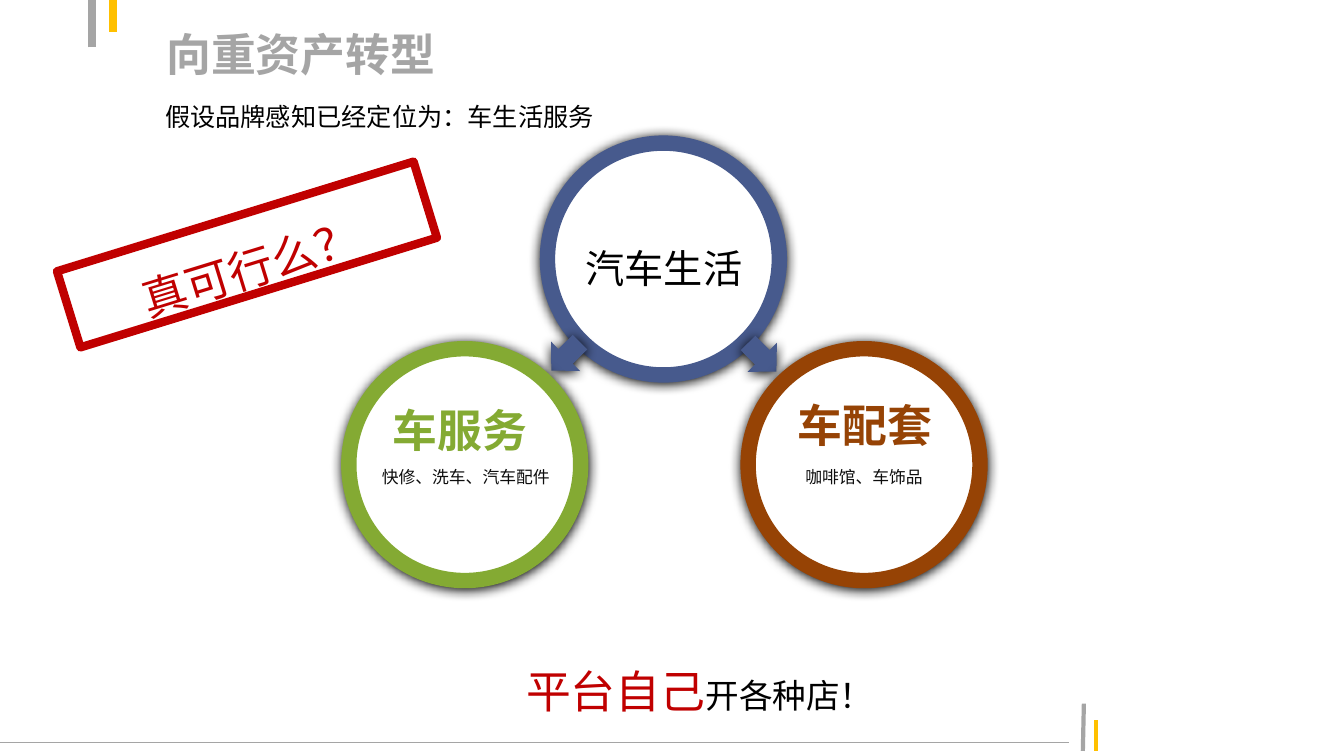
"""Build the slide on moving to heavy assets: one circle leading to two."""
from lxml import etree
from pptx import Presentation
from pptx import util as u
from pptx.dml.color import RGBColor
from pptx.enum import shapes, text
from pptx.oxml import ns

FONT = "Noto Sans CJK SC"
COLORS = {"white": "FFFFFF", "black": "000000", "ink": "0D0D0D", "gray": "A5A5A5",
          "gold": "FFC000", "blue": "475A8D", "brown": "964305",
          "green": "84AA33", "red": "C00000"}
RGB = {name: RGBColor.from_string(value) for name, value in COLORS.items()}

prs = Presentation()
prs.slide_width, prs.slide_height = u.Inches(13.33), u.Inches(7.5)
s = prs.slides.add_slide(prs.slide_layouts[6])


def add_part(kind, box, fill, line, width, rotation=0, glow=True):
    """Add a preset shape, with a soft shadow if it glows."""
    sp = s.shapes.add_shape(kind, *map(u.Inches, box))
    sp.rotation = rotation
    sp.shadow.inherit = False
    if fill:
        sp.fill.solid()
        sp.fill.fore_color.rgb = RGB[fill]
    else:
        sp.fill.background()
    if line:
        sp.line.color.rgb = RGB[line]
        sp.line.width = u.Pt(width)
    else:
        sp.line.fill.background()
    if glow:
        effects = sp._element.spPr.find(ns.qn("a:effectLst"))
        shadow = etree.SubElement(effects, ns.qn("a:outerShdw"), blurRad=str(u.Pt(8.5)),
                                  dist=str(u.Pt(1)), dir="5400000",
                                  algn="ctr", rotWithShape="0")
        etree.SubElement(shadow, ns.qn("a:srgbClr"), val=COLORS["black"])
    return sp


def write(sp, runs, align=text.PP_ALIGN.CENTER, spacing=1.5,
          anchor=text.MSO_ANCHOR.TOP):
    """Write one paragraph of (words, size, colour, bold) runs."""
    tf = sp.text_frame
    tf.word_wrap = True
    tf.vertical_anchor = anchor
    p = tf.paragraphs[0]
    p.alignment = align
    p.line_spacing = spacing
    for words, size, color, bold in runs:
        r = p.add_run()
        r.text = words
        r.font.size, r.font.bold, r.font.name = u.Pt(size), bold, FONT
        r.font.color.rgb = RGB[color]
        etree.SubElement(r._r.get_or_add_rPr(), ns.qn("a:ea"), typeface=FONT)


for x1, y1, x2, y2, color, width in [
        (0, 7.37, 10.6, 7.37, "gray", 0.75),
        (10.74, 7.45, 10.75, 6.98, "gray", 3),
        (10.87, 7.45, 10.87, 7.14, "gold", 3),
        (0.91, 0.47, 0.91, 0, "gray", 6),
        (1.12, 0, 1.12, 0.32, "gold", 6)]:
    rule = s.shapes.add_connector(shapes.MSO_CONNECTOR.STRAIGHT,
                                  *map(u.Inches, (x1, y1, x2, y2)))
    rule.line.color.rgb = RGB[color]
    rule.line.width = u.Pt(width)
    etree.SubElement(rule._element.spPr, ns.qn("a:effectLst"))

title = s.shapes.add_textbox(*map(u.Inches, (1.55, 0.13, 10.79, 0.8)))
write(title, [("向重资产转型", 32, "gray", True)], text.PP_ALIGN.LEFT, 1,
      text.MSO_ANCHOR.MIDDLE)

OVAL, ARROW = shapes.MSO_SHAPE.OVAL, shapes.MSO_SHAPE.RIGHT_ARROW
add_part(OVAL, (5.43, 1.42, 2.3, 2.3), "white", "blue", 11)
for left, top, rotation in [(7.36, 3.34, 45.4), (5.41, 3.33, 135.4)]:
    add_part(ARROW, (left, top, 0.4, 0.41), "blue", None, 0, rotation)
for left, color in [(7.42, "brown"), (3.46, "green")]:
    add_part(OVAL, (left, 3.46, 2.3, 2.3), "white", color, 11)

CENTER, LEFT = text.PP_ALIGN.CENTER, text.PP_ALIGN.LEFT
for box, align, runs in [
        ((3.47, 4.48, 2.3, 0.37), CENTER, [("快修、洗车、汽车配件", 12, "ink", False)]),
        ((3.41, 3.68, 2.3, 0.91), CENTER, [("车服务", 32, "green", True)]),
        ((7.42, 4.48, 2.3, 0.37), CENTER, [("咖啡馆、车饰品", 12, "ink", False)]),
        ((7.43, 3.63, 2.3, 0.91), CENTER, [("车配套", 32, "brown", True)]),
        ((5.62, 2.14, 1.93, 0.81), CENTER, [("汽车生活", 28, "black", False)]),
        ((1.54, 0.81, 7.56, 0.5), LEFT,
         [("假设品牌感知已经定位为：车生活服务", 18, "black", False)]),
        ((3.83, 6.27, 6.22, 0.91), CENTER,
         [("平台自己", 32, "red", False), ("开各种店！", 24, "black", False)])]:
    write(s.shapes.add_textbox(*map(u.Inches, box)), runs, align)

stamp = add_part(shapes.MSO_SHAPE.RECTANGLE, (0.6, 2.13, 3.7, 0.79),
                 None, "red", 6, 342.9, glow=False)
stamp.line._get_or_add_ln().append(etree.Element(ns.qn("a:round")))
write(stamp, [("真可行么？", 32, "red", False)], anchor=text.MSO_ANCHOR.MIDDLE)

prs.save("out.pptx")
